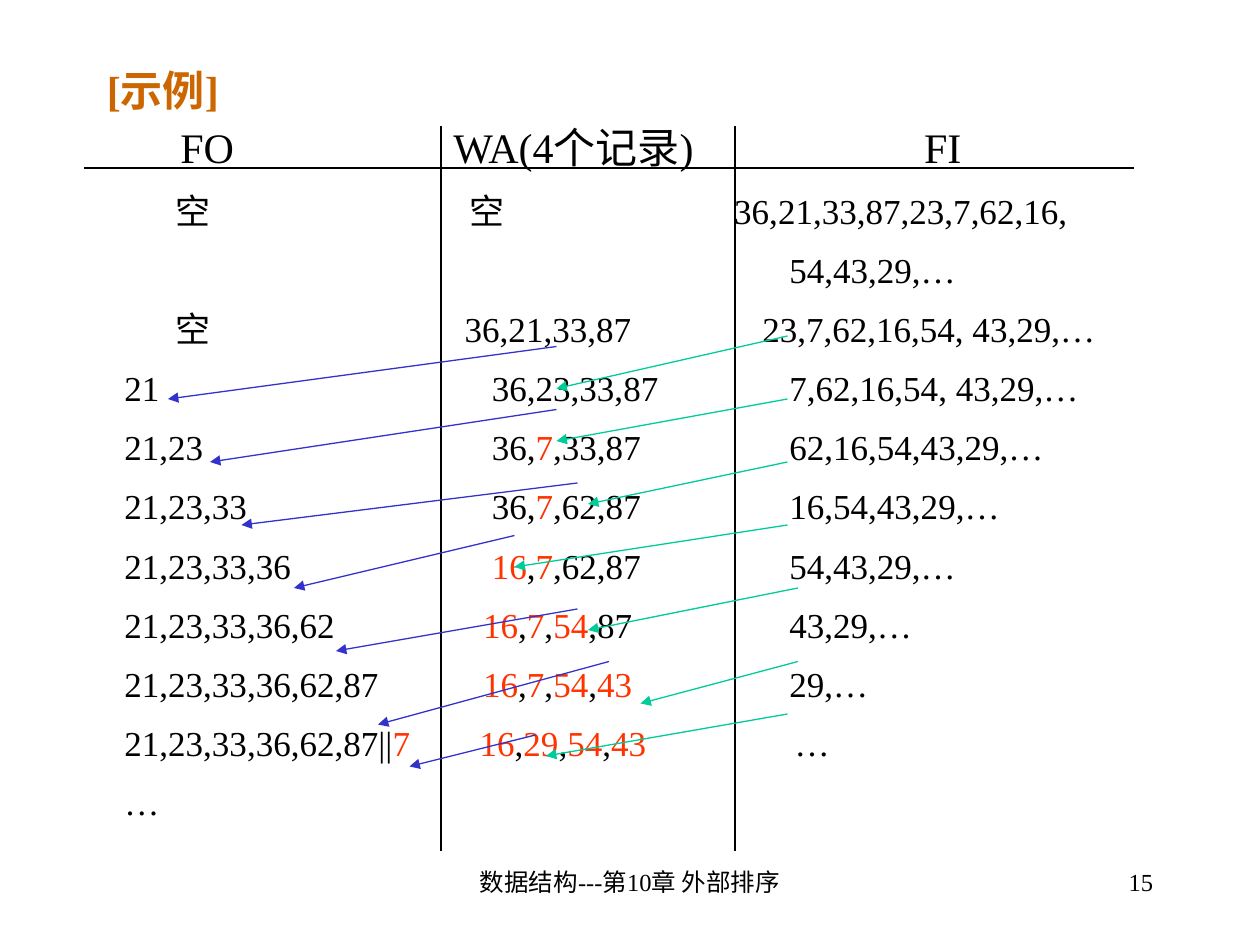
"""Build the external sorting example slide with FO, WA and FI columns."""
from lxml.etree import SubElement
from pptx import Presentation
from pptx.dml.color import RGBColor
from pptx.enum.shapes import MSO_CONNECTOR as Connector
from pptx.enum.text import MSO_ANCHOR as Anchor, PP_ALIGN as Align
from pptx.oxml.ns import qn
from pptx.util import Pt

BLACK, RED, BLUE, GREEN, ORANGE = "000000", "FF3300", "3333CC", "00CC99", "CC6600"


def add_runs(paragraph, text, size, colors, bold=False):
    for index, part in enumerate(text.split("*")):
        if part:
            run = paragraph.add_run()
            run.text = part
            values = {"name": "Times New Roman", "size": Pt(size), "bold": bold}
            for name, value in values.items():
                setattr(run.font, name, value)
            run.font.color.rgb = RGBColor.from_string(colors[index % 2])


def add_line(start, end, color, arrow=False):
    points = [Pt(value) for value in (*start, *end)]
    connector = slide.shapes.add_connector(Connector.STRAIGHT, *points)
    connector.line.width = Pt(0.75)
    connector.line.color.rgb = RGBColor.from_string(color)
    if arrow:
        SubElement(connector.line._get_or_add_ln(), qn("a:tailEnd"), type="triangle")
    SubElement(connector._element.spPr, qn("a:effectLst"))


presentation = Presentation()
presentation.slide_width, presentation.slide_height = Pt(720), Pt(540)
slide = presentation.slides.add_slide(presentation.slide_layouts[6])

labels = [
    ((246, 492, 228, 36), "数据结构---第10章 外部排序", 14, BLACK, False, Align.CENTER, Anchor.TOP),
    ((516, 492, 150, 36), "15", 14, BLACK, False, Align.RIGHT, Anchor.TOP),
    ((54, 30, 612, 42), "[示例]", 24, ORANGE, True, Align.LEFT, Anchor.MIDDLE),
]
for bounds, text, size, color, bold, alignment, anchor in labels:
    frame = slide.shapes.add_textbox(*map(Pt, bounds)).text_frame
    frame.word_wrap = True
    frame.vertical_anchor = anchor
    frame.paragraphs[0].alignment = alignment
    add_runs(frame.paragraphs[0], text, size, [color], bold)

rows = [
    ((42, 198, 467), ("FO", "WA(4个记录)", "FI")),
    ((39.5, 207.5, 358.5), ("空", "空", "36,21,33,87,23,7,62,16,")),
    ((390,), ("54,43,29,…",)),
    ((39.5, 204.5, 374.5), ("空", "36,21,33,87", "23,7,62,16,54, 43,29,…")),
    ((10, 220, 390), ("21", "36,23,33,87", "7,62,16,54, 43,29,…")),
    ((10, 220, 390), ("21,23", "36,*7*,33,87", "62,16,54,43,29,…")),
    ((10, 220, 390), ("21,23,33", "36,*7*,62,87", "16,54,43,29,…")),
    ((10, 220, 390), ("21,23,33,36", "*16*,*7*,62,87", "54,43,29,…")),
    ((10, 215, 390), ("21,23,33,36,62", "*16*,*7*,*54*,87", "43,29,…")),
    ((10, 215, 390), ("21,23,33,36,62,87", "*16*,*7*,*54*,*43*", "29,…")),
    ((10, 213, 393), ("21,23,33,36,62,87||*7*", "*16*,*29*,*54*,*43*", "…")),
    ((10,), ("…",)),
]
frame = slide.shapes.add_textbox(Pt(54), Pt(66), Pt(612), Pt(414)).text_frame
frame.word_wrap = True
for index, (stops, cells) in enumerate(rows):
    paragraph = frame.add_paragraph() if index else frame.paragraphs[0]
    tab_list = SubElement(paragraph._p.get_or_add_pPr(), qn("a:tabLst"))
    for stop in stops:
        SubElement(tab_list, qn("a:tab"), pos=str(Pt(stop)), algn="l")
    if index:
        paragraph.line_spacing = 1.2
        paragraph.space_before = Pt(5)
    add_runs(paragraph, "\t" + "\t".join(cells), 20 if index else 24, [BLACK, RED])

add_line((48, 96), (648, 96), BLACK)
for x in (252, 420):
    add_line((x, 72), (x, 486), BLACK)

arrows = {
    BLUE: [
        ((318, 198), (96, 228)),
        ((318, 234), (120, 264)),
        ((330, 276), (138, 300)),
        ((294, 306), (168, 336)),
        ((330, 348), (192, 372)),
        ((348, 378), (216, 414)),
        ((306, 420), (234, 438)),
    ],
    GREEN: [
        ((450, 192), (318, 222)),
        ((450, 228), (318, 252)),
        ((450, 264), (336, 288)),
        ((450, 300), (294, 324)),
        ((456, 336), (336, 360)),
        ((456, 378), (366, 402)),
        ((450, 408), (312, 432)),
    ],
}
for color, pairs in arrows.items():
    for start, end in pairs:
        add_line(start, end, color, arrow=True)

presentation.save("out.pptx")
